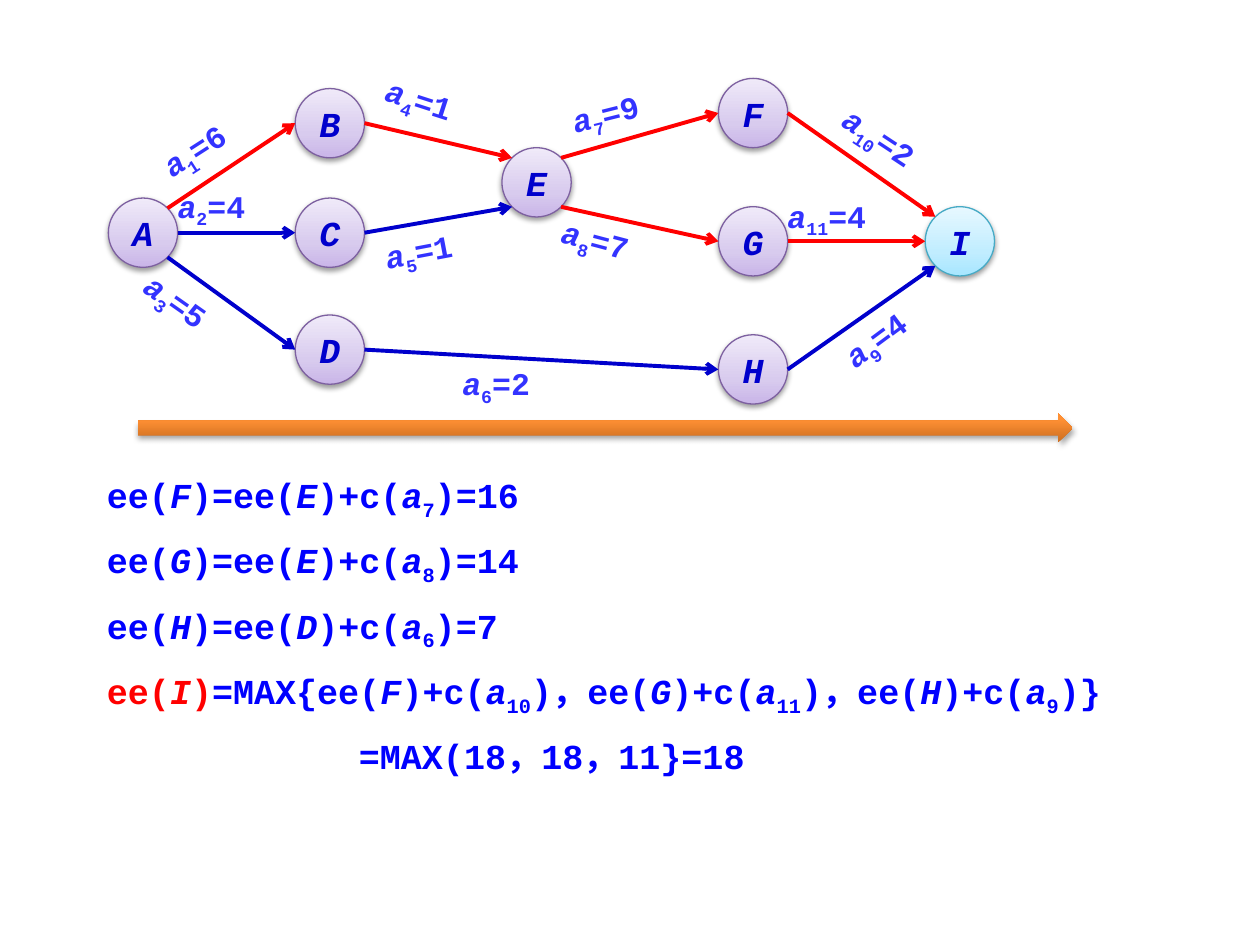
from math import cos, radians, sin
from typing import NamedTuple

from lxml import etree
from pptx import Presentation
from pptx.dml.color import RGBColor
from pptx.enum.shapes import MSO_CONNECTOR as Connector
from pptx.enum.shapes import MSO_SHAPE as Preset
from pptx.enum.text import MSO_ANCHOR as Anchor
from pptx.enum.text import MSO_AUTO_SIZE as AutoSize
from pptx.enum.text import PP_ALIGN as Align
from pptx.oxml.ns import qn
from pptx.util import Pt

FONT = "Courier New"
RED, NAVY, BLUE, LABEL_BLUE = "FF0000", "0000CC", "0000FF", "3333FF"
DIAMETER = 39.6
LABEL_WIDTH, LABEL_HEIGHT = 67.7, 22.3
# Sides of a node, as clockwise angles from its centre
RIGHT, LOWER_RIGHT, LOWER_LEFT, LEFT, UPPER_LEFT, UPPER_RIGHT = 0, 45, 135, 180, 225, 315


class Palette(NamedTuple):
    stops: tuple[tuple[int, str], ...]
    outline: str | None
    shadow_alpha: int
    shadow_distance: float


class Event(NamedTuple):
    x: float
    y: float


class Activity(NamedTuple):
    start: str
    start_side: int
    end: str
    end_side: int
    colour: str


class Weight(NamedTuple):
    index: int
    cost: int
    left: float
    top: float
    rotation: float = 0


LILAC = Palette(((0, "C9B5E8"), (35, "D8CBEE"), (100, "F0EAF9")), "7D60A0", 38, 1.6)
SKY = Palette(((0, "A7E6FF"), (35, "C1EDFF"), (100, "E7F8FF")), "46AAC5", 38, 1.6)
ORANGE = Palette(((0, "CC6E20"), (80, "FF9034"), (100, "FF9136")), None, 35, 1.8)

EVENTS = {
    "A": Event(81.7, 133),
    "B": Event(188.5, 70.4),
    "C": Event(188.5, 133),
    "D": Event(188.5, 199.8),
    "E": Event(306.6, 104.2),
    "F": Event(430.3, 64.6),
    "G": Event(430.3, 137.9),
    "H": Event(430.3, 211.1),
    "I": Event(548.5, 137.9),
}
ACTIVITIES = [
    Activity("A", UPPER_RIGHT, "B", LEFT, RED),
    Activity("A", RIGHT, "C", LEFT, NAVY),
    Activity("A", LOWER_RIGHT, "D", LEFT, NAVY),
    Activity("B", RIGHT, "E", UPPER_LEFT, RED),
    Activity("C", RIGHT, "E", LOWER_LEFT, NAVY),
    Activity("D", RIGHT, "H", LEFT, NAVY),
    Activity("E", UPPER_RIGHT, "F", LEFT, RED),
    Activity("E", LOWER_RIGHT, "G", LEFT, RED),
    Activity("F", RIGHT, "I", UPPER_LEFT, RED),
    Activity("G", RIGHT, "I", LEFT, RED),
    Activity("H", RIGHT, "I", LOWER_LEFT, NAVY),
]
WEIGHTS = [
    Weight(1, 6, 89.3, 67, 327.3),
    Weight(2, 4, 101.5, 106.6),
    Weight(3, 5, 78.5, 169.2, 35.2),
    Weight(4, 1, 219.6, 50.4, 17.8),
    Weight(5, 1, 219.6, 129.6, 349.2),
    Weight(6, 2, 264.2, 208.1),
    Weight(7, 9, 326.2, 50.4, 346),
    Weight(8, 7, 320.4, 129.6, 14.7),
    Weight(9, 4, 478.1, 174.2, 323.4),
    Weight(10, 2, 478.1, 73.4, 33.4),
    Weight(11, 4, 450, 112.3),
]
# Pieces are divided by "|": "/" starts an italic one, "_" a subscript, "!" a red one
EQUATIONS = [
    "ee(|/F|)=ee(|/E|)+c(|/a|_7|)=16",
    "ee(|/G|)=ee(|/E|)+c(|/a|_8|)=14",
    "ee(|/H|)=ee(|/D|)+c(|/a|_6|)=7",
    "!ee(|!/I|!)|=MAX{ee(|/F|)+c(|/a|_10|)，ee(|/G|)+c(|/a|_11|)，ee(|/H|)+c(|/a|_9|)}",
    "=MAX(18，18，11}=18",
]


def rgb(colour: str) -> RGBColor:
    return RGBColor.from_string(colour)


def add_colour(parent, colour: str):
    return etree.SubElement(parent, qn("a:srgbClr"), val=colour)


def write(paragraph, markup: str, size: float, colour: str, align=Align.LEFT) -> None:
    paragraph.alignment = align
    paragraph.space_before = Pt(size / 2)
    for piece in markup.split("|"):
        red = piece.startswith("!")
        piece = piece.removeprefix("!")
        run = paragraph.add_run()
        run.text = piece.lstrip("/_")
        font = run.font
        font.name, font.size, font.bold = FONT, Pt(size), True
        font.italic = piece.startswith("/")
        font.color.rgb = rgb(RED if red else colour)
        if piece.startswith("_"):
            font._element.set("baseline", "-25000")


def clear_insets(frame) -> None:
    frame.margin_left = frame.margin_right = frame.margin_top = frame.margin_bottom = 0


def paint(shape, palette: Palette) -> None:
    # Upward gradient
    shape.fill.gradient()
    shape.fill.gradient_angle = 90
    properties = shape._element.spPr
    stops = properties.find(".//" + qn("a:gsLst"))
    for stop in list(stops):
        stops.remove(stop)
    for position, colour in palette.stops:
        add_colour(etree.SubElement(stops, qn("a:gs"), pos=str(position * 1000)), colour)
    # Outline
    if palette.outline:
        shape.line.color.rgb = rgb(palette.outline)
        shape.line.width = Pt(0.75)
    else:
        shape.line.fill.background()
    # Soft shadow below
    shape.shadow.inherit = False
    shadow = etree.SubElement(
        properties.find(qn("a:effectLst")), qn("a:outerShdw"),
        blurRad=str(Pt(3.1)), dist=str(Pt(palette.shadow_distance)),
        dir="5400000", rotWithShape="0")
    etree.SubElement(add_colour(shadow, "000000"), qn("a:alpha"),
                     val=str(palette.shadow_alpha * 1000))


def draw_event(shapes, name: str, event: Event) -> None:
    radius = DIAMETER / 2
    node = shapes.add_shape(Preset.OVAL, Pt(event.x - radius), Pt(event.y - radius),
                            Pt(DIAMETER), Pt(DIAMETER))
    paint(node, SKY if name == "I" else LILAC)
    frame = node.text_frame
    clear_insets(frame)
    frame.vertical_anchor = Anchor.MIDDLE
    write(frame.paragraphs[0], "/" + name, 20, NAVY, Align.CENTER)


def rim_point(name: str, side: int) -> tuple[Pt, Pt]:
    event, angle = EVENTS[name], radians(side)
    return (Pt(event.x + DIAMETER / 2 * cos(angle)),
            Pt(event.y + DIAMETER / 2 * sin(angle)))


def draw_activity(shapes, activity: Activity) -> None:
    arrow = shapes.add_connector(
        Connector.STRAIGHT, *rim_point(activity.start, activity.start_side),
        *rim_point(activity.end, activity.end_side))
    arrow.line.color.rgb = rgb(activity.colour)
    arrow.line.width = Pt(2.25)
    etree.SubElement(arrow.line._get_or_add_ln(), qn("a:tailEnd"), type="arrow")
    etree.SubElement(arrow._element.spPr, qn("a:effectLst"))


def draw_weight(shapes, weight: Weight) -> None:
    label = shapes.add_textbox(Pt(weight.left), Pt(weight.top),
                               Pt(LABEL_WIDTH), Pt(LABEL_HEIGHT))
    label.rotation = weight.rotation
    frame = label.text_frame
    clear_insets(frame)
    frame.word_wrap = True
    frame.auto_size = AutoSize.SHAPE_TO_FIT_TEXT
    write(frame.paragraphs[0], f"/a|_{weight.index}|={weight.cost}", 18, LABEL_BLUE)


def draw_equations(shapes) -> None:
    frame = shapes.add_textbox(Pt(54), Pt(267.1), Pt(630), Pt(177.1)).text_frame
    frame.word_wrap = True
    frame.auto_size = AutoSize.SHAPE_TO_FIT_TEXT
    for number, equation in enumerate(EQUATIONS):
        paragraph = frame.add_paragraph() if number else frame.paragraphs[0]
        write(paragraph, equation, 20, BLUE, Align.JUSTIFY)
    # The last line continues the one above, twelve characters in
    paragraph._p.get_or_add_pPr().set("marL", str(Pt(144)))


def main() -> None:
    deck = Presentation()
    deck.slide_width, deck.slide_height = Pt(720), Pt(540)
    shapes = deck.slides.add_slide(deck.slide_layouts[6]).shapes

    draw_equations(shapes)

    # Activity network
    for name, event in EVENTS.items():
        draw_event(shapes, name, event)
    for activity in ACTIVITIES:
        draw_activity(shapes, activity)
    for weight in WEIGHTS:
        draw_weight(shapes, weight)

    # Direction of the forward pass
    forward = shapes.add_shape(Preset.RIGHT_ARROW, Pt(78.8), Pt(236.2), Pt(534.2), Pt(16.6))
    paint(forward, ORANGE)

    deck.save("out.pptx")


if __name__ == "__main__":
    main()
